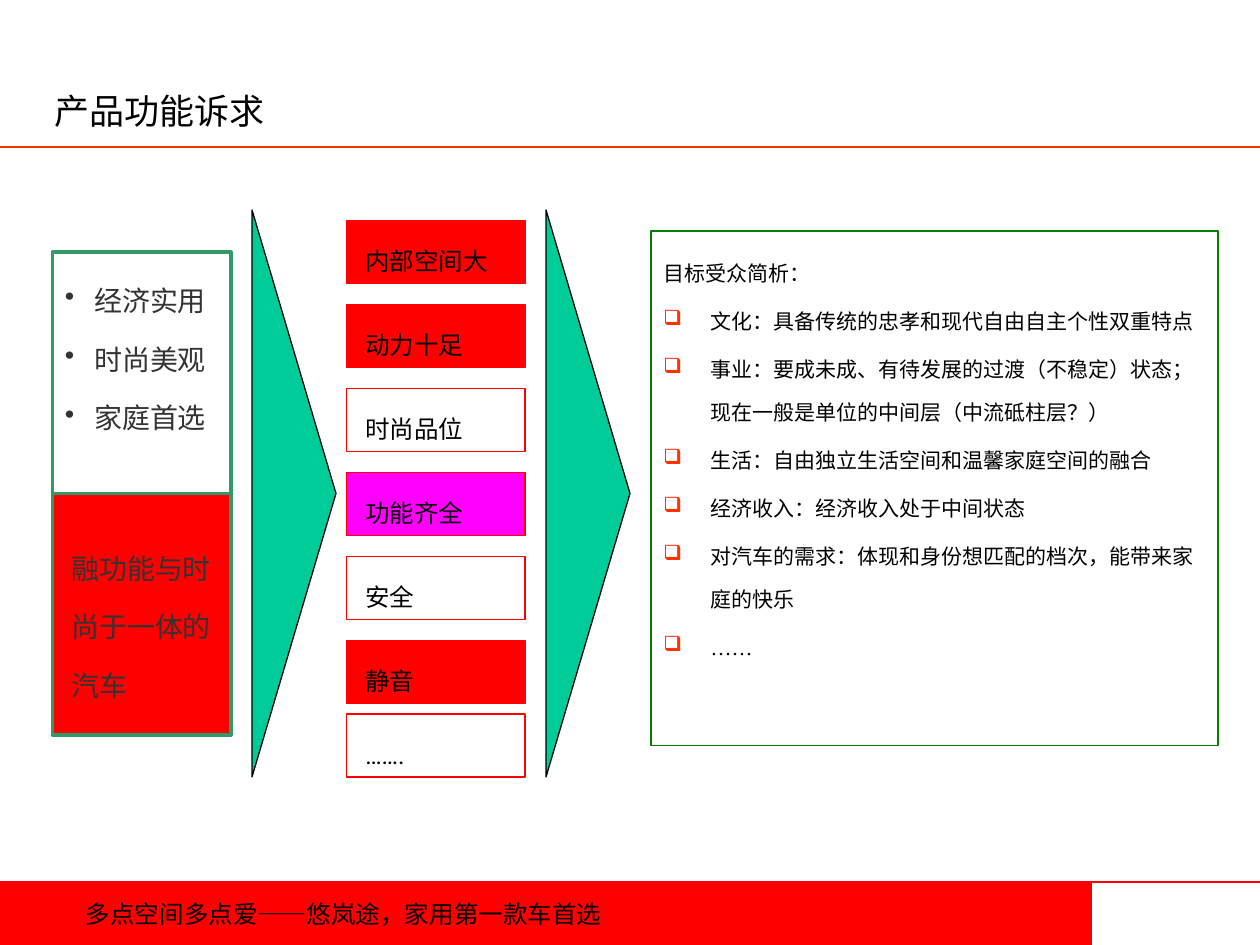
from dataclasses import dataclass
from typing import Optional

from lxml.etree import SubElement
from pptx import Presentation
from pptx.dml.color import RGBColor
from pptx.enum.shapes import MSO_CONNECTOR, MSO_SHAPE
from pptx.enum.text import MSO_ANCHOR, PP_ALIGN
from pptx.oxml.ns import qn
from pptx.util import Emu, Pt

PX = 7620
RED, ORANGE, MAGENTA = "FF0000", "FF3300", "FF00FF"
BLACK, GREY = "000000", "333333"
TEAL, FRAME_GREEN, PANEL_GREEN = "00CC99", "339966", "008000"
SERIF, ROBOTO, SANS = "Times New Roman", "Roboto", "Noto Sans CJK SC"


@dataclass
class Box:
    left: int
    top: int
    width: int
    height: int


@dataclass
class Style:
    font: str
    size: int
    color: str = BLACK
    spacing: float = 1.0
    before: int = 0
    anchor: MSO_ANCHOR = MSO_ANCHOR.TOP
    inset_left: int = 12
    inset_top: int = 6


@dataclass
class Line:
    text: str
    bullet: Optional[str] = None
    bullet_color: str = GREY
    hang: int = 0


@dataclass
class Feature:
    text: str
    top: int
    fill: Optional[str] = None


def px(length: int) -> Emu:
    return Emu(length * PX)


def rgb(value: str) -> RGBColor:
    return RGBColor.from_string(value)


def place(box: Box) -> tuple:
    return px(box.left), px(box.top), px(box.width), px(box.height)


def draw_shape(slide, kind, box: Box, fill: Optional[str], border: Optional[str],
               weight: float = 0.75):
    shape = slide.shapes.add_shape(kind, *place(box))
    shape.shadow.inherit = False
    if fill:
        shape.fill.solid()
        shape.fill.fore_color.rgb = rgb(fill)
    else:
        shape.fill.background()
    if border:
        shape.line.color.rgb = rgb(border)
        shape.line.width = Pt(weight)
    else:
        shape.line.fill.background()
    return shape


def draw_rule(slide, top: int, color: str) -> None:
    rule = slide.shapes.add_connector(MSO_CONNECTOR.STRAIGHT, px(0), px(top), px(1200), px(top))
    rule.line.color.rgb = rgb(color)
    rule.line.width = Pt(1.5)
    SubElement(rule._element.spPr, qn("a:effectLst"))


def write(shape, lines: list[Line], style: Style) -> None:
    frame = shape.text_frame
    frame.word_wrap = True
    frame.vertical_anchor = style.anchor
    frame.margin_left, frame.margin_right = px(style.inset_left), px(12)
    frame.margin_top, frame.margin_bottom = px(style.inset_top), px(6)
    for index, line in enumerate(lines):
        paragraph = frame.paragraphs[0] if index == 0 else frame.add_paragraph()
        paragraph.text = line.text
        paragraph.alignment = PP_ALIGN.LEFT
        paragraph.line_spacing = style.spacing
        if index and style.before:
            paragraph.space_before = Pt(style.before)
        properties = paragraph._p.get_or_add_pPr()
        if line.hang:
            properties.set("marL", str(px(line.hang)))
            properties.set("indent", str(-px(line.hang)))
        if line.bullet:
            tint = SubElement(properties, qn("a:buClr"))
            SubElement(tint, qn("a:srgbClr"), val=line.bullet_color)
            SubElement(properties, qn("a:buChar"), char=line.bullet)
        paragraph.font.name = style.font
        paragraph.font.size = Pt(style.size)
        paragraph.font.color.rgb = rgb(style.color)


def write_box(slide, box: Box, text: str, style: Style):
    label = slide.shapes.add_textbox(*place(box))
    write(label, [Line(text)], style)
    return label


def add_text_shadow(label, color: str) -> None:
    run = label.text_frame.paragraphs[0].runs[0]
    effects = SubElement(run._r.get_or_add_rPr(), qn("a:effectLst"))
    shadow = SubElement(effects, qn("a:outerShdw"), dist="17961", dir="2700000")
    SubElement(shadow, qn("a:srgbClr"), val=color)


def draw_arrow(slide, left: int) -> None:
    arrow = draw_shape(slide, MSO_SHAPE.ISOSCELES_TRIANGLE, Box(left, 430, 540, 80), TEAL, BLACK)
    arrow.rotation = 90


def main() -> None:
    deck = Presentation()
    deck.slide_width, deck.slide_height = px(1200), px(900)
    slide = deck.slides.add_slide(deck.slide_layouts[6])
    rect = MSO_SHAPE.RECTANGLE

    draw_rule(slide, 840, RED)
    draw_shape(slide, rect, Box(0, 840, 1040, 60), RED, None)
    draw_rule(slide, 140, ORANGE)
    slogan = write_box(slide, Box(70, 850, 647, 41),
                       "多点空间多点爱——悠岚途，家用第一款车首选", Style(SERIF, 14))
    add_text_shadow(slogan, "000080")
    write_box(slide, Box(40, 60, 1000, 90), "产品功能诉求",
              Style(SERIF, 20, anchor=MSO_ANCHOR.MIDDLE))

    appeals = draw_shape(slide, rect, Box(50, 240, 170, 230), None, FRAME_GREEN, 2)
    write(appeals, [Line(text, "•", GREY, 28) for text in ("经济实用", "时尚美观", "家庭首选")],
          Style(SANS, 16, GREY, 1.75))
    summary = draw_shape(slide, rect, Box(50, 470, 170, 230), RED, FRAME_GREEN, 2)
    write(summary, [Line("融功能与时尚于一体的汽车")],
          Style(SANS, 16, GREY, 1.75, anchor=MSO_ANCHOR.MIDDLE, inset_left=18))

    for left in (10, 290):
        draw_arrow(slide, left)

    named = [("内部空间大", RED), ("动力十足", RED), ("时尚品位", None),
             ("功能齐全", MAGENTA), ("安全", None), ("静音", RED)]
    features = [Feature(text, 210 + 80 * row, fill) for row, (text, fill) in enumerate(named)]
    features.append(Feature("…….", 680))
    feature_style = Style(ROBOTO, 14, spacing=1.6, anchor=MSO_ANCHOR.MIDDLE, inset_left=18)
    for feature in features:
        tile = draw_shape(slide, rect, Box(330, feature.top, 170, 60), feature.fill, RED)
        write(tile, [Line(feature.text)], feature_style)

    audience = draw_shape(slide, rect, Box(620, 220, 540, 490), None, PANEL_GREEN)
    traits = (
        "文化：具备传统的忠孝和现代自由自主个性双重特点",
        "事业：要成未成、有待发展的过渡（不稳定）状态；现在一般是单位的中间层（中流砥柱层？）",
        "生活：自由独立生活空间和温馨家庭空间的融合",
        "经济收入：经济收入处于中间状态",
        "对汽车的需求：体现和身份想匹配的档次，能带来家庭的快乐",
        "……",
    )
    write(audience,
          [Line("目标受众简析：")] + [Line(text, "❑", ORANGE, 45) for text in traits],
          Style(SERIF, 12, spacing=1.7, before=3, inset_top=11))

    deck.save("out.pptx")


if __name__ == "__main__":
    main()
